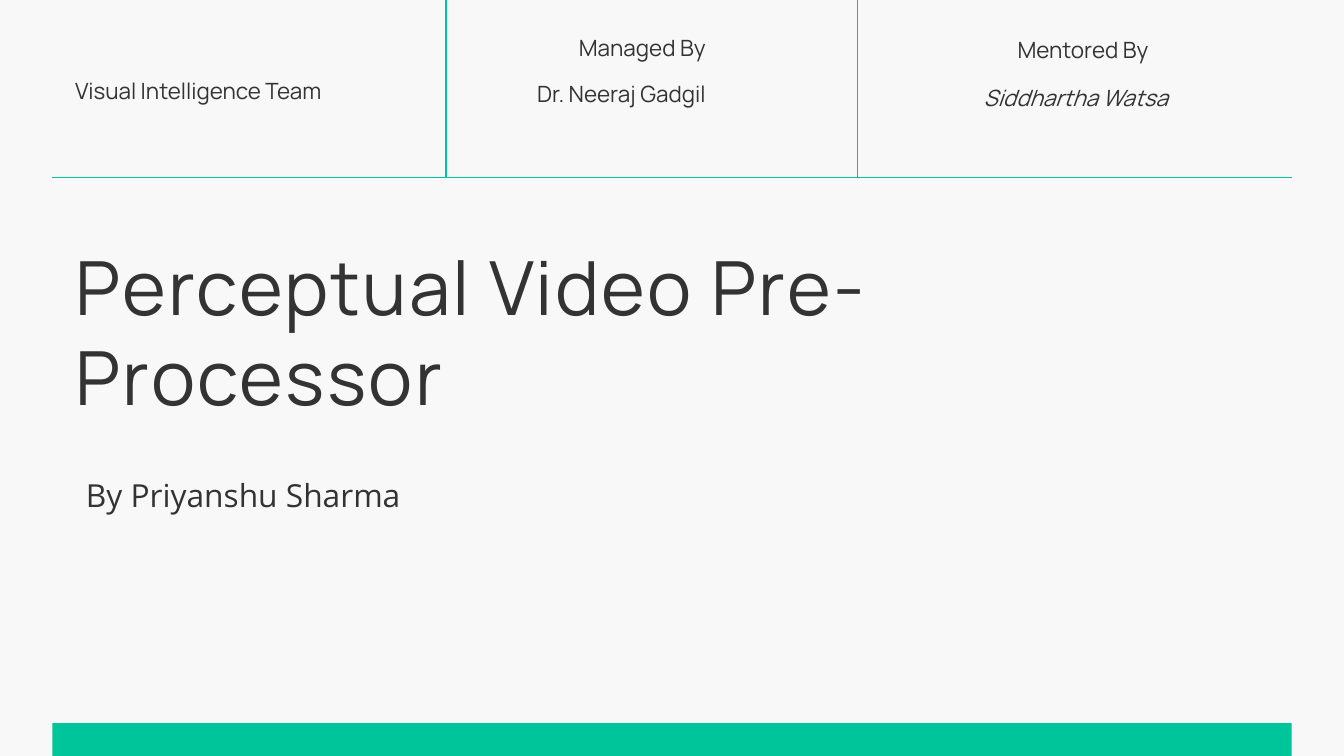
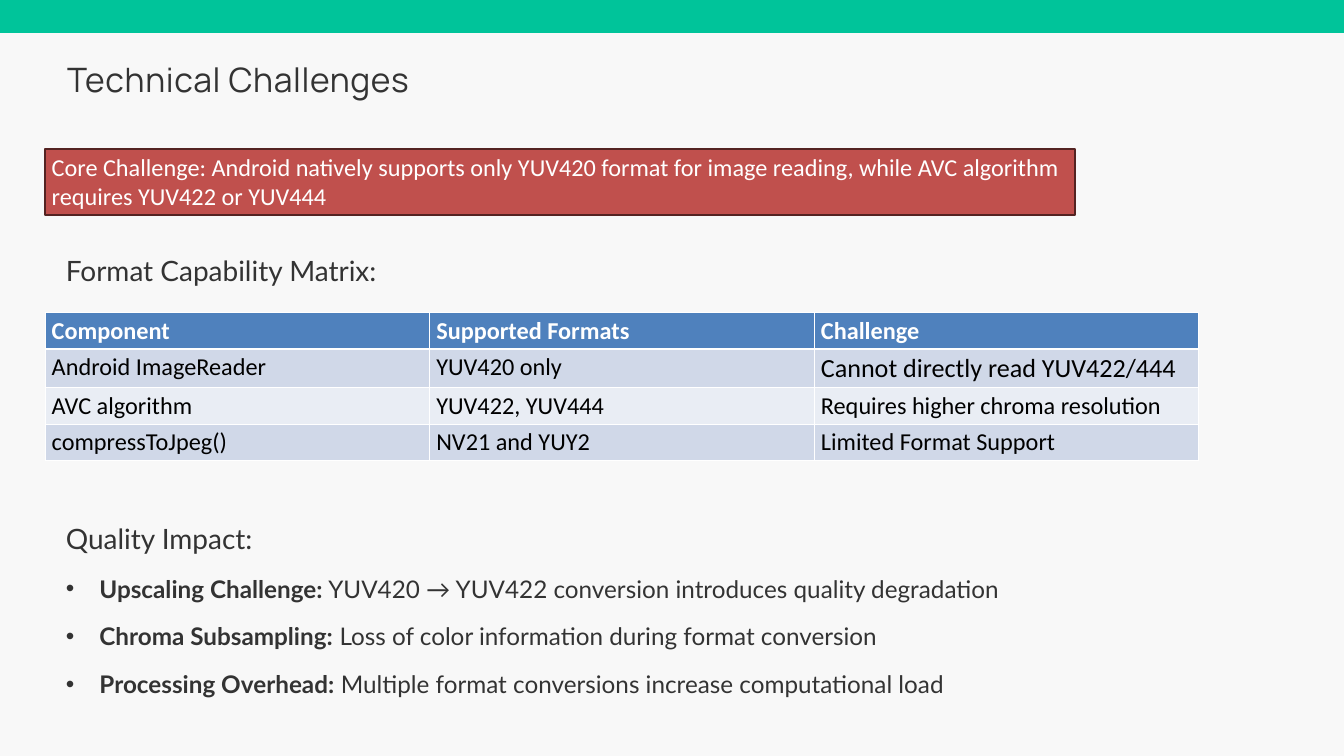
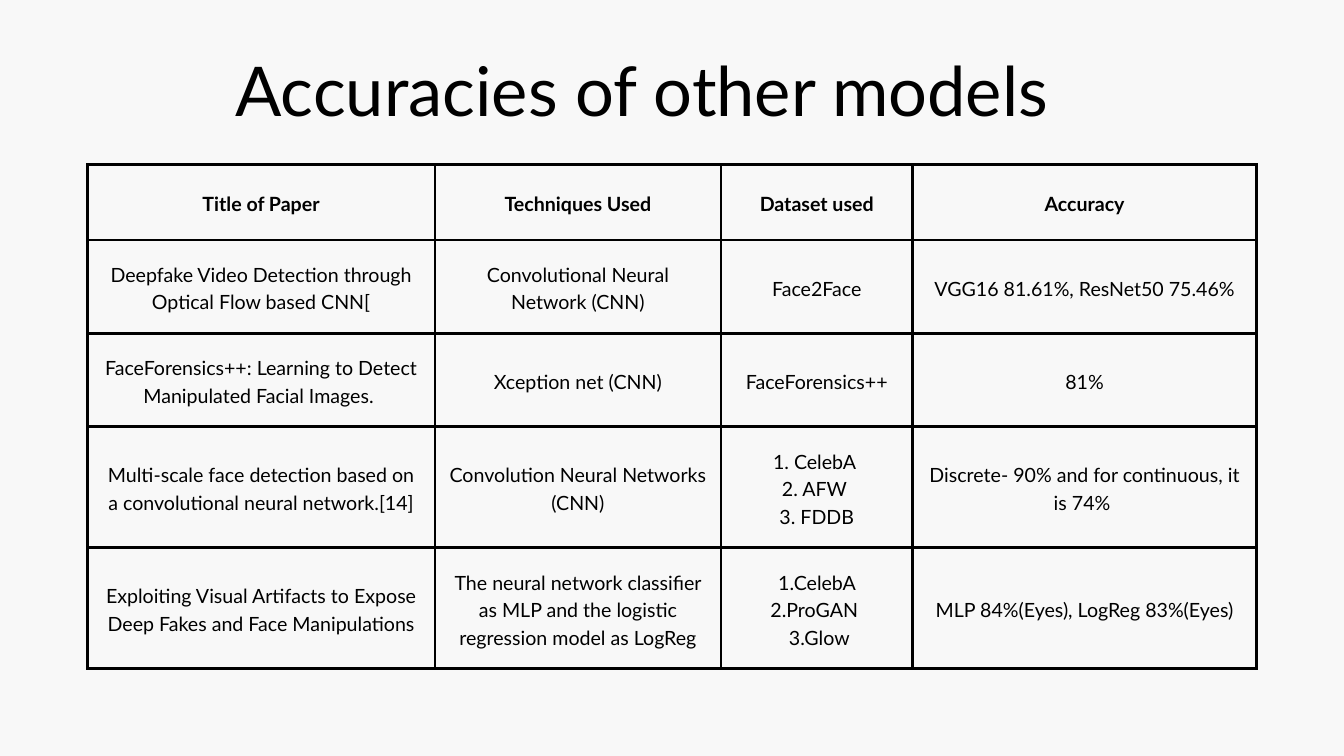
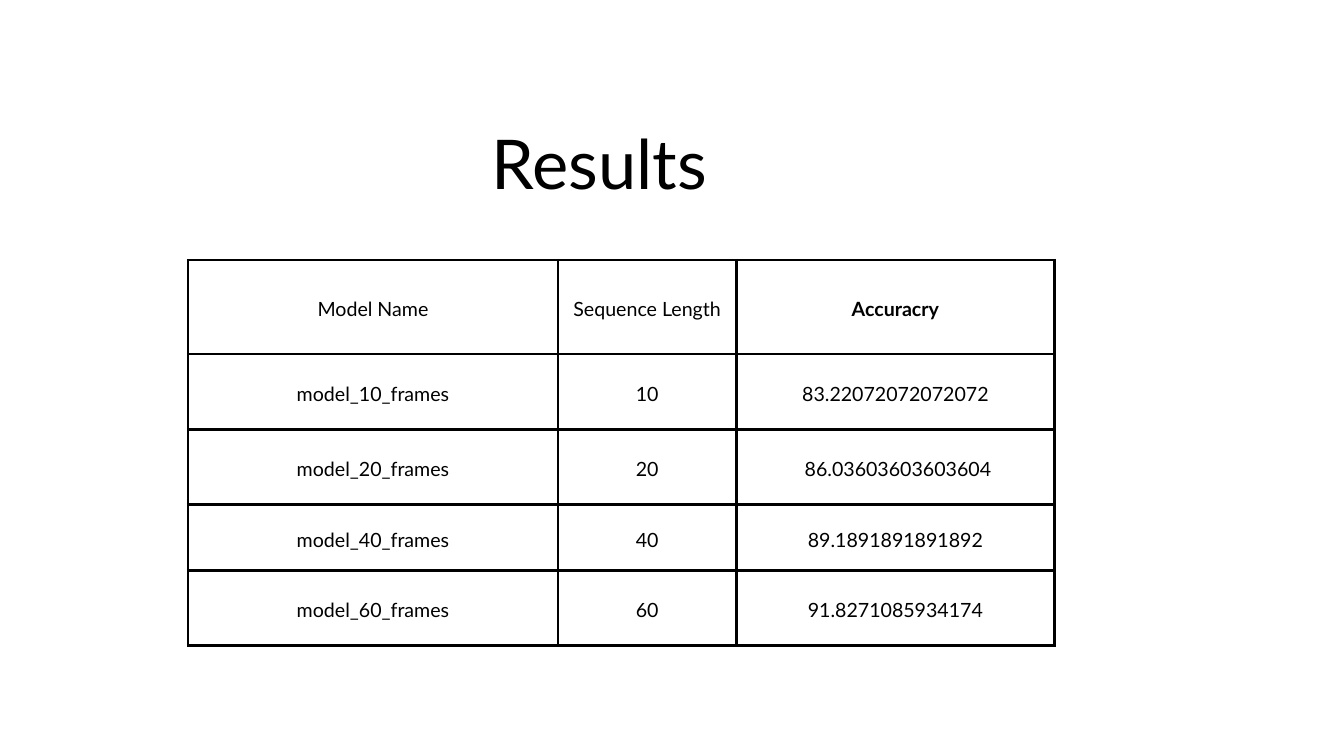
import dataclasses

import lxml.etree
import pptx
import pptx.dml.color
import pptx.enum.shapes
import pptx.enum.text
import pptx.oxml.ns
import pptx.util

# The slide is a grid of square cells; every length below counts cells.
COLUMNS, ROWS = 20, 11.25
CELL = pptx.util.Inches(1)

GREEN, INK, PAPER = "00C49A", "333333", "F8F8F8"
BLACK, WHITE = "000000", "FFFFFF"
RED, MAROON, BLUE = "C0504D", "542322", "4F81BD"
STRIPES = ("D0D8E8", "E9EDF4")

ALIGN = pptx.enum.text.PP_ALIGN
ANCHOR = pptx.enum.text.MSO_ANCHOR
TITLE_SLIDE, TITLE_AND_BODY, TITLE_ONLY = 0, 1, 5
BAND_HEIGHT = 0.49


@dataclasses.dataclass
class Box:
    left: float
    top: float
    width: float
    height: float

    def inner(self, left, top, width, height):
        return Box(self.left + left, self.top + top, width, height)

    def lengths(self):
        return [cells(n) for n in (self.left, self.top, self.width, self.height)]


@dataclasses.dataclass
class Style:
    font: str
    size: float
    color: str = INK
    leading: float = None
    align: ALIGN = ALIGN.LEFT
    bold: bool = False
    italic: bool = False
    tracking: float = 0


PAGE = Box(0, 0, COLUMNS, ROWS)
CREDIT = Style("Manrope", 24, leading=33.6)
HEADING = Style("Lato", 30, leading=51.2)
BULLET = dataclasses.replace(HEADING, size=26)
GRID_TEXT = Style("Lato", 21, BLACK, 29.4, ALIGN.CENTER)
BIG_TITLE = Style("Lato", 73.5, BLACK, 103, ALIGN.CENTER)
PLAIN = Style("Calibri", 26, BLACK)


def cells(count):
    return round(count * CELL)


def rgb(color):
    return pptx.dml.color.RGBColor.from_string(color)


# Text

def add_span(para, text, style):
    span = para.add_run()
    span.text = text
    font = span.font
    font.name, font.size = style.font, pptx.util.Pt(style.size)
    font.bold, font.italic = style.bold, style.italic
    font.color.rgb = rgb(style.color)
    if style.tracking:
        span._r.get_or_add_rPr().set("spc", str(round(style.tracking * 100)))


def format_para(para, style):
    para.alignment = style.align
    para.space_before = pptx.util.Pt(0)
    if style.leading:
        para.line_spacing = pptx.util.Pt(style.leading)


def indent_para(para, margin, hanging=0, bullet=None):
    para.level = 1
    properties = para._p.get_or_add_pPr()
    properties.set("marL", str(cells(margin)))
    properties.set("indent", str(-cells(hanging)))
    name = "a:buChar" if bullet else "a:buNone"
    mark = lxml.etree.SubElement(properties, pptx.oxml.ns.qn(name))
    if bullet:
        mark.set("char", bullet)


def prepare_frame(frame, inset=0):
    frame.word_wrap = True
    frame.auto_size = pptx.enum.text.MSO_AUTO_SIZE.NONE
    frame.vertical_anchor = ANCHOR.TOP
    frame.margin_left = frame.margin_right = cells(inset)
    frame.margin_top = frame.margin_bottom = cells(inset / 2)


def add_label(page, box, text, style):
    label = page.shapes.add_textbox(*box.lengths())
    prepare_frame(label.text_frame)
    para = label.text_frame.paragraphs[0]
    format_para(para, style)
    add_span(para, text, style)
    return para


def place_holder(holder, box):
    holder.left, holder.top, holder.width, holder.height = box.lengths()
    prepare_frame(holder.text_frame)


def fill_holder(holder, box, text, style):
    place_holder(holder, box)
    para = holder.text_frame.paragraphs[0]
    format_para(para, style)
    add_span(para, text, style)


# Shapes

def add_block(page, box, fill, outline=None):
    block = page.shapes.add_shape(
        pptx.enum.shapes.MSO_SHAPE.RECTANGLE, *box.lengths())
    block.shadow.inherit = False
    block.fill.solid()
    block.fill.fore_color.rgb = rgb(fill)
    if outline:
        block.line.color.rgb = rgb(outline)
        block.line.width = pptx.util.Pt(2)
    else:
        block.line.fill.background()
    return block


def add_rule(page, start, end):
    rule = page.shapes.add_connector(
        pptx.enum.shapes.MSO_CONNECTOR.STRAIGHT,
        *[cells(n) for n in (*start, *end)])
    rule.line.color.rgb = rgb(GREEN)
    rule.line.width = pptx.util.Pt(1.5)
    lxml.etree.SubElement(
        rule._element.spPr, pptx.oxml.ns.qn("a:effectLst"))


# Tables

def add_borders(cell, color, widths):
    properties = cell._tc.get_or_add_tcPr()
    for index, (side, width) in enumerate(zip("LRTB", widths)):
        line = lxml.etree.Element(pptx.oxml.ns.qn("a:ln" + side))
        line.set("w", str(int(pptx.util.Pt(width))))
        fill = lxml.etree.SubElement(line, pptx.oxml.ns.qn("a:solidFill"))
        shade = lxml.etree.SubElement(fill, pptx.oxml.ns.qn("a:srgbClr"))
        shade.set("val", color)
        properties.insert(index, line)


def add_grid(page, box, widths, heights, rows, dress):
    """Add a table; dress(cell, row, column) returns the cell's text style."""
    table = page.shapes.add_table(
        len(heights), len(widths), *box.lengths()).table
    table.first_row = table.horz_banding = False
    for column, width in zip(table.columns, widths):
        column.width = cells(width)
    for row, height in zip(table.rows, heights):
        row.height = cells(height)
    for r, texts in enumerate(rows):
        for c, text in enumerate(texts):
            cell = table.cell(r, c)
            style = dress(cell, r, c)
            for i, line in enumerate(text.split("\n")):
                frame = cell.text_frame
                para = frame.add_paragraph() if i else frame.paragraphs[0]
                format_para(para, style)
                add_span(para, line, style)


def add_ruled_table(page, box, widths, heights, rows, bold_heads):
    def dress(cell, r, c):
        cell.fill.background()
        add_borders(cell, BLACK, (3, 3, 3, 3))
        cell.vertical_anchor = ANCHOR.MIDDLE
        cell.margin_left = cell.margin_right = cells(0.21)
        cell.margin_top = cell.margin_bottom = cells(0.21)
        return dataclasses.replace(
            GRID_TEXT, bold=r == 0 and c in bold_heads)

    add_grid(page, box, widths, heights, rows, dress)


def add_striped_table(page, box, rows, large_cell):
    def dress(cell, r, c):
        head = r == 0
        cell.fill.solid()
        cell.fill.fore_color.rgb = rgb(BLUE if head else STRIPES[(r - 1) % 2])
        add_borders(cell, WHITE, (1, 1, 3 if r == 1 else 1, 3 if head else 1))
        if head:
            return dataclasses.replace(PLAIN, color=WHITE, bold=True)
        return dataclasses.replace(PLAIN, size=28 if (r, c) == large_cell else 26)

    count = len(rows[0])
    add_grid(page, box, [box.width / count] * count,
             [box.height / len(rows)] * len(rows), rows, dress)


# Slides

def add_page(deck, layout):
    return deck.slides.add_slide(deck.slide_layouts[layout])


def add_credits(page, box):
    """Three ruled columns naming the team, the manager and the mentor."""
    bottom = box.top + box.height
    for offset in (5.86, 11.98):
        x = box.left + offset
        add_rule(page, (x, bottom), (x, box.top))
    add_rule(page, (box.left, bottom), (box.left + box.width, bottom))

    right = dataclasses.replace(CREDIT, align=ALIGN.RIGHT)
    slanted = dataclasses.replace(right, italic=True)
    for left, top, width, text, style in (
            (0.34, 1.08, 4.37, "Visual Intelligence Team", CREDIT),
            (6.54, 0.44, 3.18, "Managed By", right),
            (6.54, 1.13, 3.18, "Dr. Neeraj Gadgil", right),
            (13.13, 0.47, 3.18, "Mentored By", right),
            (13.13, 1.18, 3.47, "Siddhartha Watsa", slanted)):
        add_label(page, box.inner(left, top, width, 0.45), text, style)


def build_cover(deck, box):
    page = add_page(deck, TITLE_SLIDE)
    margin = 0.78
    span_width = box.width - 2 * margin
    add_block(page, box.inner(margin, box.height - BAND_HEIGHT,
                              span_width, BAND_HEIGHT), GREEN)
    add_credits(page, box.inner(margin, 0, span_width, 2.64))
    fill_holder(page.shapes.title, box.inner(1.12, 3.59, 13.62, 2.69),
                "Perceptual Video Pre-Processor",
                Style("Manrope", 80, leading=96, tracking=2.5))
    fill_holder(page.placeholders[1], box.inner(1.14, 6.99, 4.96, 0.63),
                "By Priyanshu Sharma",
                Style("Open Sans", 34, leading=47.6, align=ALIGN.CENTER))


def add_impact_list(holder, box, heading, items):
    place_holder(holder, box)
    frame = holder.text_frame
    para = frame.paragraphs[0]
    indent_para(para, 0.31)
    format_para(para, HEADING)
    add_span(para, heading, HEADING)
    for name, detail in items:
        para = frame.add_paragraph()
        indent_para(para, 0.81, 0.5, "•")
        format_para(para, BULLET)
        add_span(para, name, dataclasses.replace(BULLET, bold=True))
        add_span(para, " " + detail, BULLET)


def build_challenges(deck, box):
    page = add_page(deck, TITLE_AND_BODY)
    add_block(page, box.inner(0, 0, box.width, BAND_HEIGHT), GREEN)
    fill_holder(page.shapes.title, box.inner(1, 1.08, 11.98, 0.45),
                "Technical Challenges",
                Style("Manrope", 36, leading=28.8, tracking=0.7))

    # Main content column
    content = box.inner(0.67, 2.22, 17.17, 8.8)
    callout = add_block(page, content.inner(0, 0, 15.33, 0.98), RED, MAROON)
    prepare_frame(callout.text_frame, 0.1)
    para = callout.text_frame.paragraphs[0]
    format_para(para, PLAIN)
    add_span(para, "Core Challenge: Android natively supports only YUV420 format "
             "for image reading, while AVC algorithm requires YUV422 or YUV444",
             dataclasses.replace(PLAIN, color=WHITE))

    heading = add_label(page, content.inner(0, 1.34, content.width, 0.62),
                        "Format Capability Matrix:", HEADING)
    indent_para(heading, 0.31)
    add_striped_table(page, content.inner(0, 2.43, content.width, 2.16), [
        ["Component", "Supported Formats", "Challenge"],
        ["Android ImageReader", "YUV420 only", "Cannot directly read YUV422/444"],
        ["AVC algorithm", "YUV422, YUV444", "Requires higher chroma resolution"],
        ["compressToJpeg()", "NV21 and YUY2", "Limited Format Support"],
    ], large_cell=(1, 2))
    add_impact_list(
        page.placeholders[1], content.inner(0, 5.33, content.width, 3.47),
        "Quality Impact:", [
            ("Upscaling Challenge:",
             "YUV420 → YUV422 conversion introduces quality degradation"),
            ("Chroma Subsampling:",
             "Loss of color information during format conversion"),
            ("Processing Overhead:",
             "Multiple format conversions increase computational load"),
        ])


def build_table_page(deck, title, title_box, corner, widths, heights, rows,
                     bold_heads):
    page = add_page(deck, TITLE_ONLY)
    fill_holder(page.shapes.title, title_box, title, BIG_TITLE)
    table_box = PAGE.inner(*corner, sum(widths), sum(heights))
    add_ruled_table(page, table_box, widths, heights, rows, bold_heads)
    return page


def set_background(owner, color):
    owner.background.fill.solid()
    owner.background.fill.fore_color.rgb = rgb(color)


def main():
    deck = pptx.Presentation()
    deck.slide_width, deck.slide_height = cells(COLUMNS), cells(ROWS)
    set_background(deck.slide_master, PAPER)

    build_cover(deck, PAGE)
    build_challenges(deck, PAGE)
    build_table_page(
        deck, "Accuracies of other models", PAGE.inner(2.82, 0.51, 13.47, 1.38),
        (1.3, 2.45), (5.17, 4.26, 2.85, 5.12), (1.12, 1.39, 1.39, 1.8, 1.8), [
            ["Title of Paper", "Techniques Used", "Dataset used", "Accuracy"],
            ["Deepfake Video Detection through Optical Flow based CNN[",
             "Convolutional Neural Network (CNN)", "Face2Face",
             "VGG16 81.61%, ResNet50 75.46%"],
            ["FaceForensics++: Learning to Detect Manipulated Facial Images. ",
             "Xception net (CNN)", "FaceForensics++", "81%"],
            ["Multi-scale face detection based on a convolutional neural "
             "network.[14]", "Convolution Neural Networks (CNN)",
             "1. CelebA \n2. AFW \n3. FDDB",
             "Discrete- 90% and for continuous, it is 74% "],
            ["Exploiting Visual Artifacts to Expose Deep Fakes and Face "
             "Manipulations",
             "The neural network classifier as MLP and the logistic regression "
             "model as LogReg", "1.CelebA 2.ProGAN \n 3.Glow",
             "MLP 84%(Eyes), LogReg 83%(Eyes)"],
        ], bold_heads=range(4))
    results = build_table_page(
        deck, "Results", PAGE.inner(7.11, 1.6, 3.62, 1.37),
        (2.8, 3.87), (5.5, 2.66, 4.73), (1.4, 1.12, 1.12, 0.98, 1.12), [
            ["Model Name", "Sequence Length", "Accuracry"],
            ["model_10_frames", "10", "83.22072072072072"],
            ["model_20_frames", "20", " 86.03603603603604"],
            ["model_40_frames", "40", "89.1891891891892"],
            ["model_60_frames", "60", "91.8271085934174"],
        ], bold_heads=(2,))
    set_background(results, WHITE)

    deck.save("out.pptx")


if __name__ == "__main__":
    main()
